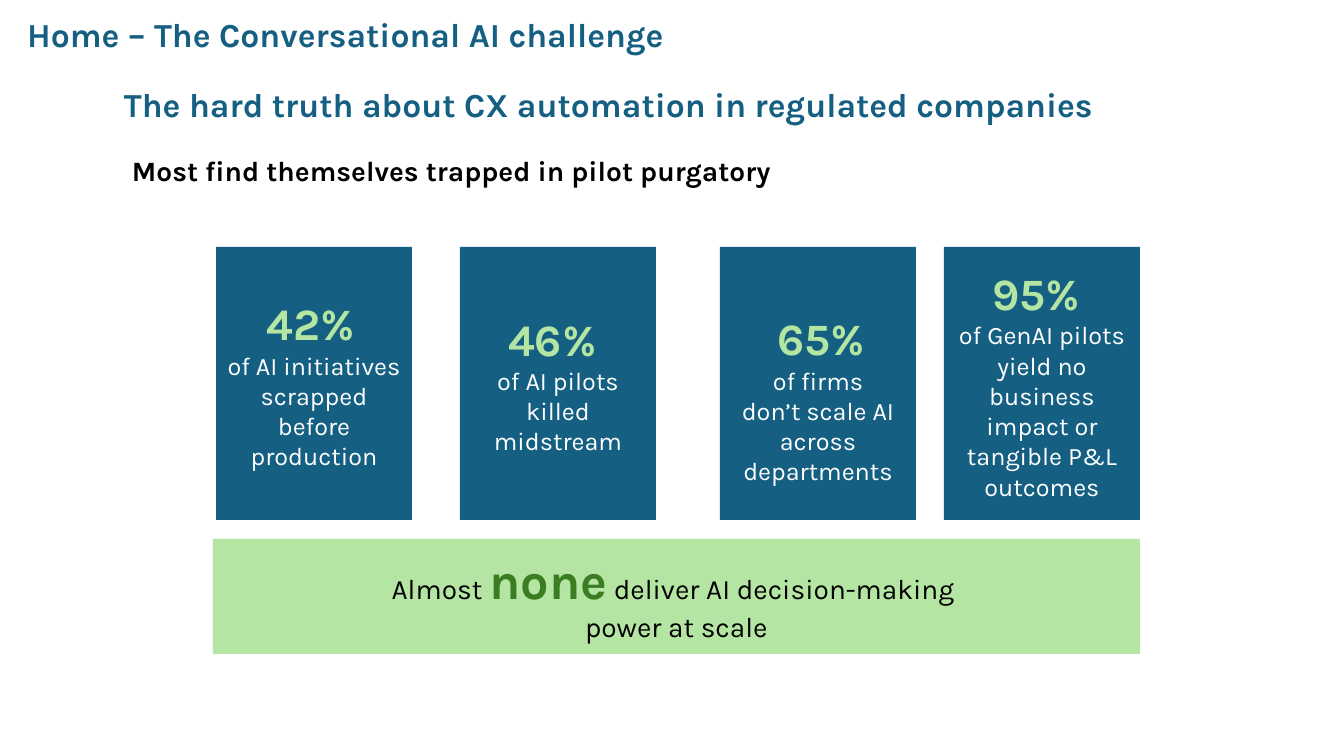
"""Build a slide on how few conversational AI pilots reach scale."""
import pptx
import pptx.dml.color
import pptx.enum.shapes
import pptx.enum.text
import pptx.util

PX = 914400 / 100.8
BLUE = pptx.dml.color.RGBColor(0x15, 0x60, 0x82)
LIGHT_GREEN = pptx.dml.color.RGBColor(0xB4, 0xE5, 0xA2)
DARK_GREEN = pptx.dml.color.RGBColor(0x3B, 0x7D, 0x23)
WHITE = pptx.dml.color.RGBColor(0xFF, 0xFF, 0xFF)
BLACK = pptx.dml.color.RGBColor(0x00, 0x00, 0x00)


def px(*lengths):
    """Turn whole pixels into EMU."""
    return [pptx.util.Emu(round(length * PX)) for length in lengths]


def add_text(text, para, size, color, bold=False):
    """Append formatted text, turning each newline into a line break."""
    for index, line in enumerate(text.split("\n")):
        if index:
            para.add_line_break()
        if line:
            span = para.add_run()
            span.text = line
            span.font.name = "Karla"
            span.font.size = pptx.util.Pt(size)
            span.font.bold = bold
            span.font.color.rgb = color


deck = pptx.Presentation()
deck.slide_width, deck.slide_height = px(1344, 756)
page = deck.slides.add_slide(deck.slide_layouts[5])

title = page.shapes.title
title.left, title.top, title.width, title.height = px(17, 9, 721, 50)
title.text_frame.vertical_anchor = pptx.enum.text.MSO_ANCHOR.TOP
title.text_frame.auto_size = pptx.enum.text.MSO_AUTO_SIZE.NONE
title_para = title.text_frame.paragraphs[0]
title_para.alignment = pptx.enum.text.PP_ALIGN.LEFT
add_text("Home – The Conversational AI challenge", para=title_para, size=24, color=BLUE, bold=True)

headings = [
    ("The hard truth about CX automation in regulated companies", 114, 76, 50, 24, BLUE, 1.07),
    ("Most find themselves trapped in pilot purgatory", 122, 149, 44, 20, BLACK, 1.0),
]
for text, left, top, height, size, color, spacing in headings:
    box = page.shapes.add_textbox(*px(left, top, 1142, height))
    box.text_frame.word_wrap = True
    para = box.text_frame.paragraphs[0]
    para.line_spacing = spacing
    add_text(text, para=para, size=size, color=color, bold=True)

figure = {"size": 32, "color": LIGHT_GREEN, "bold": True}
caption = {"size": 18, "color": WHITE}
wording = {"size": 20, "color": BLACK}
emphasis = {"size": 36, "color": DARK_GREEN, "bold": True}
card_top, card_width, card_height = 247, 196, 273
panels = [
    (216, [("42%", figure), (" \nof AI initiatives scrapped before production", caption)]),
    (460, [("46% \n", figure), ("of AI pilots killed midstream", caption)]),
    (720, [(" ", caption), ("65%\n", figure),
           ("of firms\ndon’t scale AI across departments", caption)]),
    (944, [("95% \n", figure),
           ("of GenAI pilots yield no business impact or tangible P&L outcomes", caption)]),
]
blocks = [(left, card_top, card_width, card_height, BLUE, spans) for left, spans in panels]
blocks.append((213, 539, 927, 115, LIGHT_GREEN, [
    ("Almost ", wording), ("none", emphasis),
    (" deliver AI decision-making \npower at scale", wording)]))

for left, top, width, height, fill, spans in blocks:
    block = page.shapes.add_shape(
        pptx.enum.shapes.MSO_SHAPE.RECTANGLE, *px(left, top, width, height))
    block.shadow.inherit = False
    block.fill.solid()
    block.fill.fore_color.rgb = fill
    block.line.fill.background()
    block.text_frame.word_wrap = True
    block.text_frame.vertical_anchor = pptx.enum.text.MSO_ANCHOR.MIDDLE
    if left == 720:
        block.text_frame.margin_top = px(35)[0]
    para = block.text_frame.paragraphs[0]
    para.alignment = pptx.enum.text.PP_ALIGN.CENTER
    for text, style in spans:
        add_text(text, para=para, **style)

deck.save("out.pptx")
